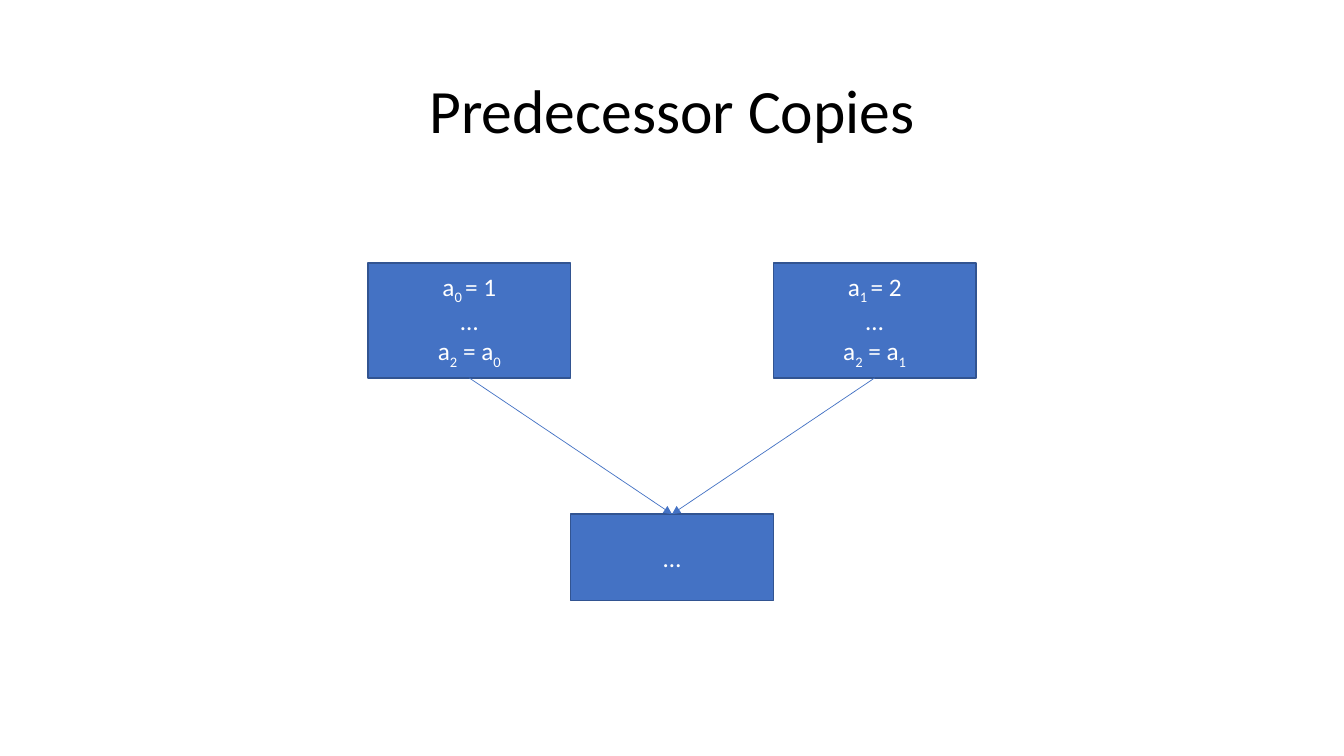
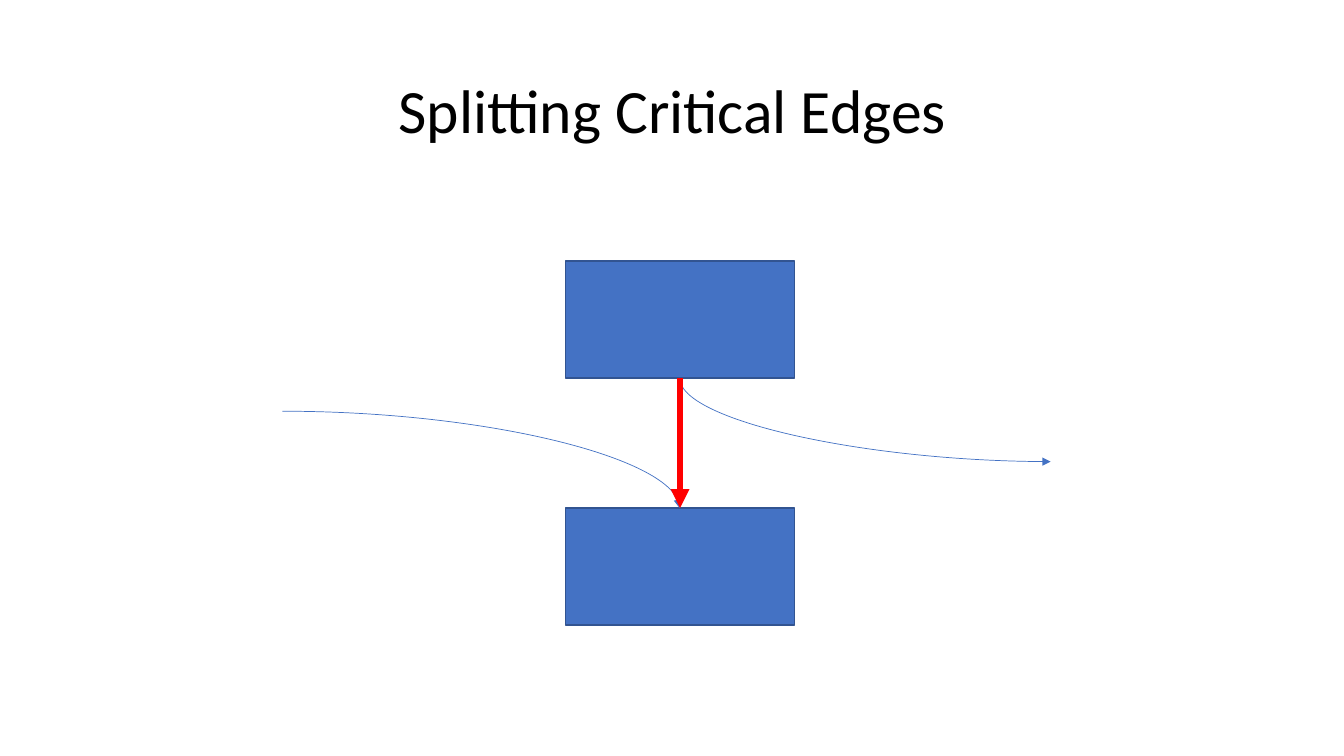
from lxml import etree
from pptx import Presentation, util as u
from pptx.dml.color import RGBColor
from pptx.enum import shapes, text
from pptx.oxml import ns

BLUE, EDGE, RED, WHITE, BLACK = "4472C4", "325491", "FF0000", "FFFFFF", "000000"
rgb = RGBColor.from_string


def put(page, area, lines, size=18, color=WHITE, fill=None, space=1.0):
    area = [u.Inches(v) for v in area]
    if fill:
        box = page.shapes.add_shape(shapes.MSO_SHAPE.RECTANGLE, *area)
        box.shadow.inherit = False
        box.fill.solid()
        box.fill.fore_color.rgb = rgb(fill)
        box.line.color.rgb = rgb(EDGE)
        box.line.width = u.Pt(1)
    else:
        box = page.shapes.add_textbox(*area)
    frame = box.text_frame
    frame.word_wrap = True
    frame.vertical_anchor = text.MSO_ANCHOR.MIDDLE
    for i, line in enumerate(lines):
        para = frame.add_paragraph() if i else frame.paragraphs[0]
        para.alignment = text.PP_ALIGN.CENTER
        para.line_spacing = space
        for j, part in enumerate(line.split("|")):
            if not part:
                continue
            run = para.add_run()
            run.text = part
            run.font.name = "Calibri"
            run.font.size = u.Pt(size)
            run.font.color.rgb = rgb(color)
            if j % 2:
                run.font._element.set("baseline", "-25000")
    return box


def link(page, start, end, color=BLUE, width=0.5, curve=False, turn=False):
    (x1, y1), (x2, y2) = start, end
    if turn:
        mx, my = (x1 + x2) / 2, (y1 + y2) / 2
        dx, dy = (x2 - x1) / 2, (y2 - y1) / 2
        x1, y1, x2, y2 = mx + dy, my - dx, mx - dy, my + dx
    kind = shapes.MSO_CONNECTOR.CURVE if curve else shapes.MSO_CONNECTOR.STRAIGHT
    wire = page.shapes.add_connector(kind, *[u.Inches(v) for v in (x1, y1, x2, y2)])
    wire.line.color.rgb = rgb(color)
    wire.line.width = u.Pt(width)
    prop = wire._element.spPr
    if curve:
        prop.find(ns.qn("a:prstGeom")).set("prst", "curvedConnector2")
    if turn:
        prop.find(ns.qn("a:xfrm")).set("rot", "16200000")
    etree.SubElement(prop.find(ns.qn("a:ln")), ns.qn("a:tailEnd"), type="triangle")
    etree.SubElement(prop, ns.qn("a:effectLst"))
    return wire


deck = Presentation()
deck.slide_width, deck.slide_height = u.Inches(13.33), u.Inches(7.5)
pages = []
for title in ("Predecessor Copies", "Splitting Critical Edges"):
    page = deck.slides.add_slide(deck.slide_layouts[6])
    put(page, (0.92, 0.4, 11.5, 1.45), [title], size=44, color=BLACK, space=0.9)
    pages.append(page)
copies, edges = pages

wide, left, top, tall = 2.01, 3.65, 2.61, 1.14
join = put(copies, (left + wide, 5.1, wide, 0.86), ["…"], fill=BLUE)
for i in range(2):
    x = left + 2 * wide * i
    lines = [f"a|{i} |= {i + 1}", "…", f"a|2| = a|{i}"]
    box = put(copies, (x, top, wide, tall), lines, fill=BLUE)
    wire = link(copies, (x + wide / 2, top + tall), (left + 1.5 * wide, 5.1))
    wire.begin_connect(box, 2)
    wire.end_connect(join, 0)

mid, low, high = 6.74, 5.04, 3.75
lower, upper = [
    put(edges, (5.61, y, 2.27, 1.16), [], fill=BLUE) for y in (low, 2.59)
]
link(edges, (2.8, 4.08), (mid, low), curve=True)
link(edges, (mid, high), (10.42, 4.58), curve=True, turn=True)
wire = link(edges, (mid, high), (mid, low), color=RED, width=4.5)
wire.begin_connect(upper, 2)
wire.end_connect(lower, 0)

deck.save("out.pptx")
